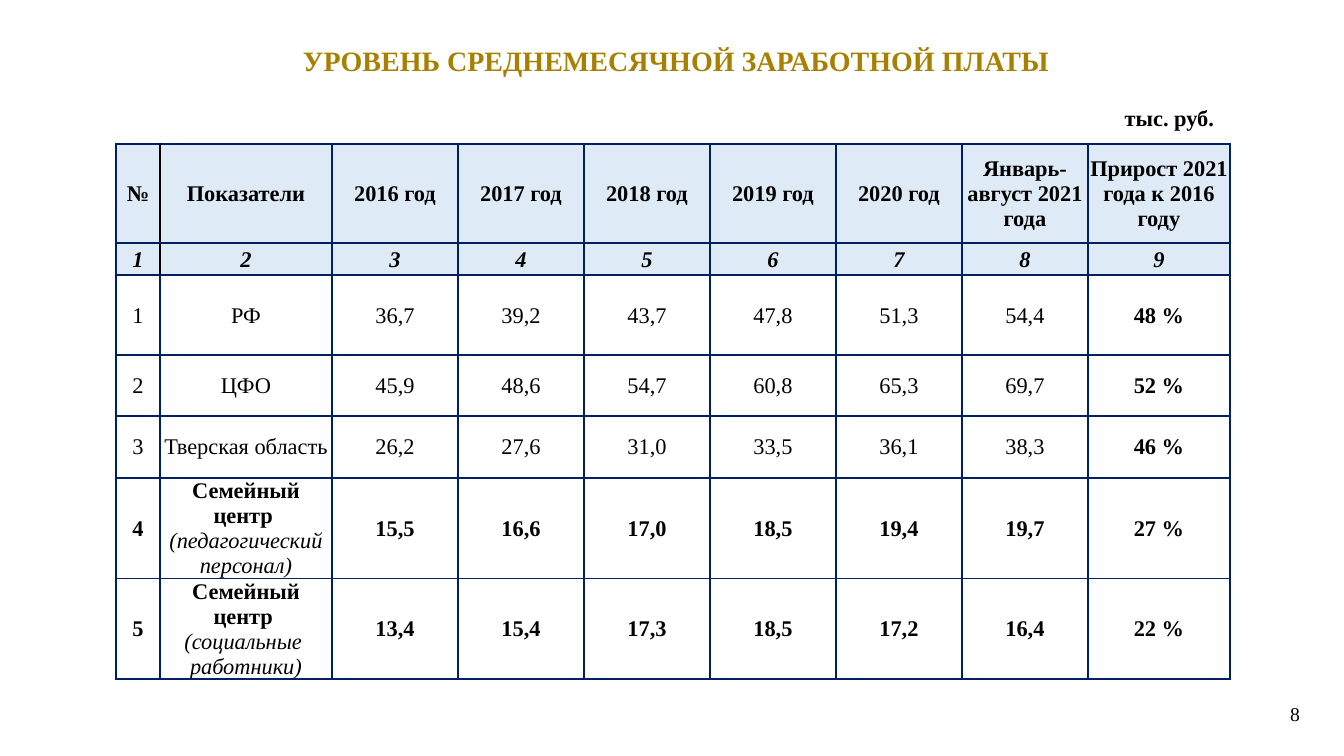
from lxml import etree
from pptx import Presentation
from pptx import util as u
from pptx.dml.color import RGBColor
from pptx.enum import text
from pptx.oxml import ns

PX = 914400 / 100.8
FONT = "Times New Roman"
GOLD = RGBColor(0xA8, 0x80, 0x00)
NAVY = RGBColor(0x00, 0x20, 0x60)
BLACK = RGBColor(0x00, 0x00, 0x00)
PALE = RGBColor(0xDE, 0xEB, 0xF7)

COL_WIDTHS = [44, 172] + [126] * 6 + [142]
ROW_HEIGHTS = [99, 32, 80, 61, 62, 100, 100]
HEADER_ROWS = 2
FIRST_BOLD_ROW = 5
ROWS = [
    ["№", "Показатели"] + [f"{year} год" for year in range(2016, 2021)]
    + ["Январь-август 2021 года", "Прирост 2021 года к 2016 году"],
    [str(n) for n in range(1, 10)],
    ["1", "РФ", "36,7", "39,2", "43,7", "47,8", "51,3", "54,4", "48 %"],
    ["2", "ЦФО", "45,9", "48,6", "54,7", "60,8", "65,3", "69,7", "52 %"],
    ["3", "Тверская область", "26,2", "27,6", "31,0", "33,5", "36,1", "38,3", "46 %"],
    ["4", "Семейный центр \n(педагогический персонал)",
     "15,5", "16,6", "17,0", "18,5", "19,4", "19,7", "27 %"],
    ["5", "Семейный центр \n(социальные \nработники)",
     "13,4", "15,4", "17,3", "18,5", "17,2", "16,4", "22 %"],
]


def px(n):
    """Turn pixels into EMU."""
    return u.Emu(round(n * PX))


def format_paragraph(p, size, align, color=BLACK, bold=False, italic=False):
    """Align a paragraph and format its runs."""
    p.alignment = align
    for r in p.runs:
        r.font.name, r.font.size = FONT, u.Pt(size)
        r.font.bold, r.font.italic = bold, italic
        r.font.color.rgb = color


def fill_text(sp, box, words, size, align, color=BLACK, bold=False):
    """Place a text shape in its box and set its wording."""
    sp.left, sp.top, sp.width, sp.height = map(px, box)
    tf = sp.text_frame
    tf.text = words
    tf.word_wrap = True
    tf.auto_size = text.MSO_AUTO_SIZE.NONE
    tf.vertical_anchor = text.MSO_ANCHOR.MIDDLE
    format_paragraph(tf.paragraphs[0], size, align, color, bold)
    return tf


def add_label(s, box, words, size, bold=False):
    """Add a right-aligned text box."""
    sp = s.shapes.add_textbox(0, 0, 0, 0)
    return fill_text(sp, box, words, size, text.PP_ALIGN.RIGHT, bold=bold)


def set_borders(cell, colors):
    """Draw one-point borders from a mapping of side to colour."""
    tc_pr = cell._tc.get_or_add_tcPr()
    for side, color in colors.items():
        ln = etree.SubElement(tc_pr, ns.qn(f"a:ln{side}"), w=str(u.Pt(1)))
        fill = etree.SubElement(ln, ns.qn("a:solidFill"))
        etree.SubElement(fill, ns.qn("a:srgbClr"), val=str(color))


def format_cell(cell, row, col, words):
    """Set the wording, borders and fill of one table cell."""
    header = row < HEADER_ROWS
    colors = dict.fromkeys("LRTB", NAVY)
    if header and col < 2:
        colors["RL"[col]] = BLACK
    set_borders(cell, colors)
    if header:
        cell.fill.solid()
        cell.fill.fore_color.rgb = PALE
    else:
        cell.fill.background()
    cell.margin_left = cell.margin_right = cell.margin_top = px(1)
    cell.margin_bottom = 0
    cell.vertical_anchor = text.MSO_ANCHOR.MIDDLE
    cell.text_frame.text = words
    bold = header or row >= FIRST_BOLD_ROW or col == len(COL_WIDTHS) - 1
    for n, p in enumerate(cell.text_frame.paragraphs):
        format_paragraph(p, 16, text.PP_ALIGN.CENTER,
                         bold=bold and n == 0, italic=row == 1 or n > 0)


def add_wage_table(s, left, top):
    """Add the wage table with its top left corner at the given point."""
    frame = s.shapes.add_table(len(ROWS), len(COL_WIDTHS), px(left), px(top),
                               px(sum(COL_WIDTHS)), px(sum(ROW_HEIGHTS)))
    table = frame.table
    table.horz_banding = False
    for column, width in zip(table.columns, COL_WIDTHS):
        column.width = px(width)
    for row, height in enumerate(ROW_HEIGHTS):
        table.rows[row].height = px(height)
        for col, words in enumerate(ROWS[row]):
            format_cell(table.cell(row, col), row, col, words)


def build_wage_slide(prs):
    """Build the slide on average monthly wages."""
    s = prs.slides.add_slide(prs.slide_layouts[5])
    fill_text(s.shapes.title, (121, 38, 1110, 44),
              "УРОВЕНЬ СРЕДНЕМЕСЯЧНОЙ ЗАРАБОТНОЙ ПЛАТЫ",
              20, text.PP_ALIGN.CENTER, GOLD, True)
    add_wage_table(s, 116, 144)
    add_label(s, (933, 694, 377, 40), "8", 14)
    unit = add_label(s, (1087, 95, 137, 41), "тыс. руб.", 16, True)
    unit.paragraphs[0].line_spacing = 1.15


prs = Presentation()
prs.slide_width, prs.slide_height = px(1344), px(756)
build_wage_slide(prs)
prs.save("out.pptx")
